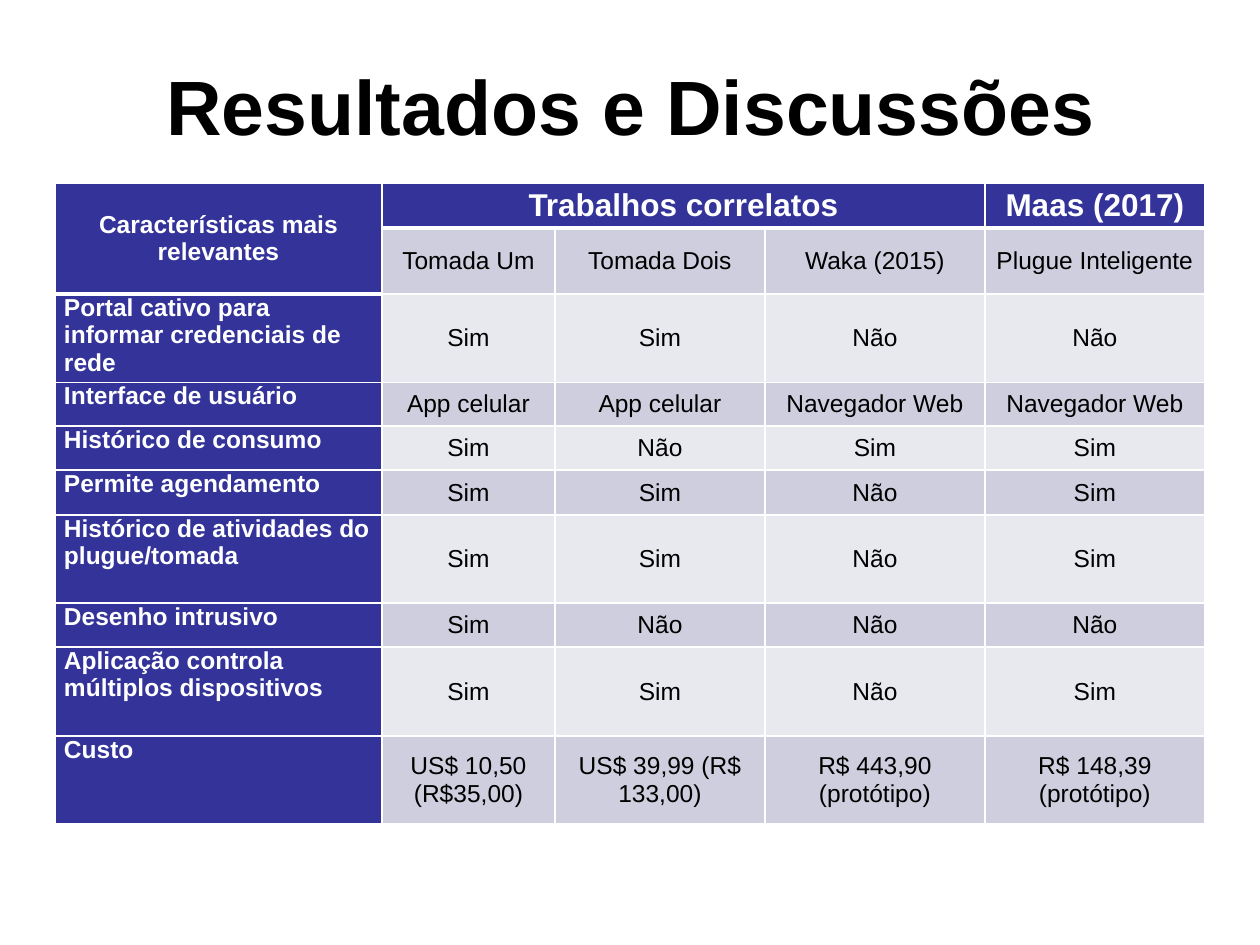
from dataclasses import dataclass

from lxml import etree
from pptx import Presentation
from pptx import util as u
from pptx.dml import color
from pptx.enum import text
from pptx.oxml import ns

# Content
TITLE = "Resultados e Discussões"
CORNER = "Características mais relevantes"
GROUPS = [("Trabalhos correlatos", 1, 3), ("Maas (2017)", 4, 4)]  # text, first and last column
ROWS = [
    ("", "Tomada Um", "Tomada Dois", "Waka (2015)", "Plugue Inteligente"),
    ("Portal cativo para informar credenciais de rede", "Sim", "Sim", "Não", "Não"),
    ("Interface de usuário", "App celular", "App celular", "Navegador Web", "Navegador Web"),
    ("Histórico de consumo", "Sim", "Não", "Sim", "Sim"),
    ("Permite agendamento", "Sim", "Sim", "Não", "Sim"),
    ("Histórico de atividades do plugue/tomada", "Sim", "Sim", "Não", "Sim"),
    ("Desenho intrusivo", "Sim", "Não", "Não", "Não"),
    ("Aplicação controla múltiplos dispositivos", "Sim", "Sim", "Não", "Sim"),
    ("Custo", "US$ 10,50 (R$35,00)", "US$ 39,99 (R$ 133,00)",
     "R$ 443,90 (protótipo)", "R$ 148,39 (protótipo)"),
]

# Geometry in px, 126 to the inch
SLIDE = (1260, 945)
TITLE_BOX = (64, 26, 1134, 157)
TABLE_LEFT, TABLE_TOP = 55, 183
COLUMN_WIDTHS = [327, 173, 210, 220, 220]
ROW_HEIGHTS = [45, 66, 88, 44, 44, 45, 88, 44, 89, 88]
CELL_MARGIN = 9


@dataclass(frozen=True)
class Theme:
    font: str = "Arial"
    black: str = "000000"
    white: str = "FFFFFF"
    header: str = "333399"
    bands: tuple = ("CECEDE", "E8E8EF")
    title_size: int = 44
    group_size: int = 18
    body_size: int = 14
    thin: int = 1
    thick: int = 3


THEME = Theme()


def px(value):
    return u.Emu(round(value * 914400 / 126))


def write(frame, words, size, ink, bold, align=text.PP_ALIGN.CENTER):
    paragraph = frame.paragraphs[0]
    paragraph.alignment = align
    run = paragraph.add_run()
    run.text = words
    run.font.name = THEME.font
    run.font.size = u.Pt(size)
    run.font.bold = bold
    run.font.color.rgb = color.RGBColor.from_string(ink)


def add_borders(cell, top, bottom):
    properties = cell._tc.get_or_add_tcPr()
    widths = {"lnL": THEME.thin, "lnR": THEME.thin, "lnT": top, "lnB": bottom}
    for tag, width in widths.items():
        line = etree.SubElement(properties, ns.qn(f"a:{tag}"), w=str(u.Pt(width)))
        fill = etree.SubElement(line, ns.qn("a:solidFill"))
        etree.SubElement(fill, ns.qn("a:srgbClr"), val=THEME.white)


def style_cell(cell, row, column):
    # The thick rule lies under the header: one row deep, two in the first column
    header_end = 1 if column == 0 else 0
    add_borders(cell,
                top=THEME.thick if row == header_end + 1 else THEME.thin,
                bottom=THEME.thick if row == header_end else THEME.thin)
    is_header = row == 0 or column == 0
    cell.fill.solid()
    cell.fill.fore_color.rgb = color.RGBColor.from_string(
        THEME.header if is_header else THEME.bands[(row - 1) % 2])
    cell.margin_left = cell.margin_right = px(CELL_MARGIN)
    cell.margin_top = cell.margin_bottom = 0
    is_label = column == 0 and row > 1
    cell.vertical_anchor = text.MSO_ANCHOR.TOP if is_label else text.MSO_ANCHOR.MIDDLE


def add_title(slide):
    box = slide.shapes.add_textbox(*map(px, TITLE_BOX))
    frame = box.text_frame
    frame.word_wrap = True
    frame.vertical_anchor = text.MSO_ANCHOR.MIDDLE
    write(frame, TITLE, THEME.title_size, THEME.black, True)


def add_comparison(slide):
    table = slide.shapes.add_table(
        len(ROW_HEIGHTS), len(COLUMN_WIDTHS), px(TABLE_LEFT), px(TABLE_TOP),
        px(sum(COLUMN_WIDTHS)), px(sum(ROW_HEIGHTS))).table
    table.first_row = table.horz_banding = False
    for column, width in zip(table.columns, COLUMN_WIDTHS):
        column.width = px(width)
    for row, height in zip(table.rows, ROW_HEIGHTS):
        row.height = px(height)
    for row in range(len(ROW_HEIGHTS)):
        for column in range(len(COLUMN_WIDTHS)):
            style_cell(table.cell(row, column), row, column)

    # Header
    corner = table.cell(0, 0)
    corner.merge(table.cell(1, 0))
    write(corner.text_frame, CORNER, THEME.body_size, THEME.white, True)
    for words, first, last in GROUPS:
        cell = table.cell(0, first)
        if last > first:
            cell.merge(table.cell(0, last))
        write(cell.text_frame, words, THEME.group_size, THEME.white, True)

    # Body
    for row, (label, *values) in enumerate(ROWS, start=1):
        if label:
            write(table.cell(row, 0).text_frame, label, THEME.body_size,
                  THEME.white, True, text.PP_ALIGN.LEFT)
        for column, value in enumerate(values, start=1):
            write(table.cell(row, column).text_frame, value, THEME.body_size,
                  THEME.black, False)


def main():
    presentation = Presentation()
    presentation.slide_width, presentation.slide_height = map(px, SLIDE)
    slide = presentation.slides.add_slide(presentation.slide_layouts[6])
    add_title(slide)
    add_comparison(slide)
    presentation.save("out.pptx")


if __name__ == "__main__":
    main()
